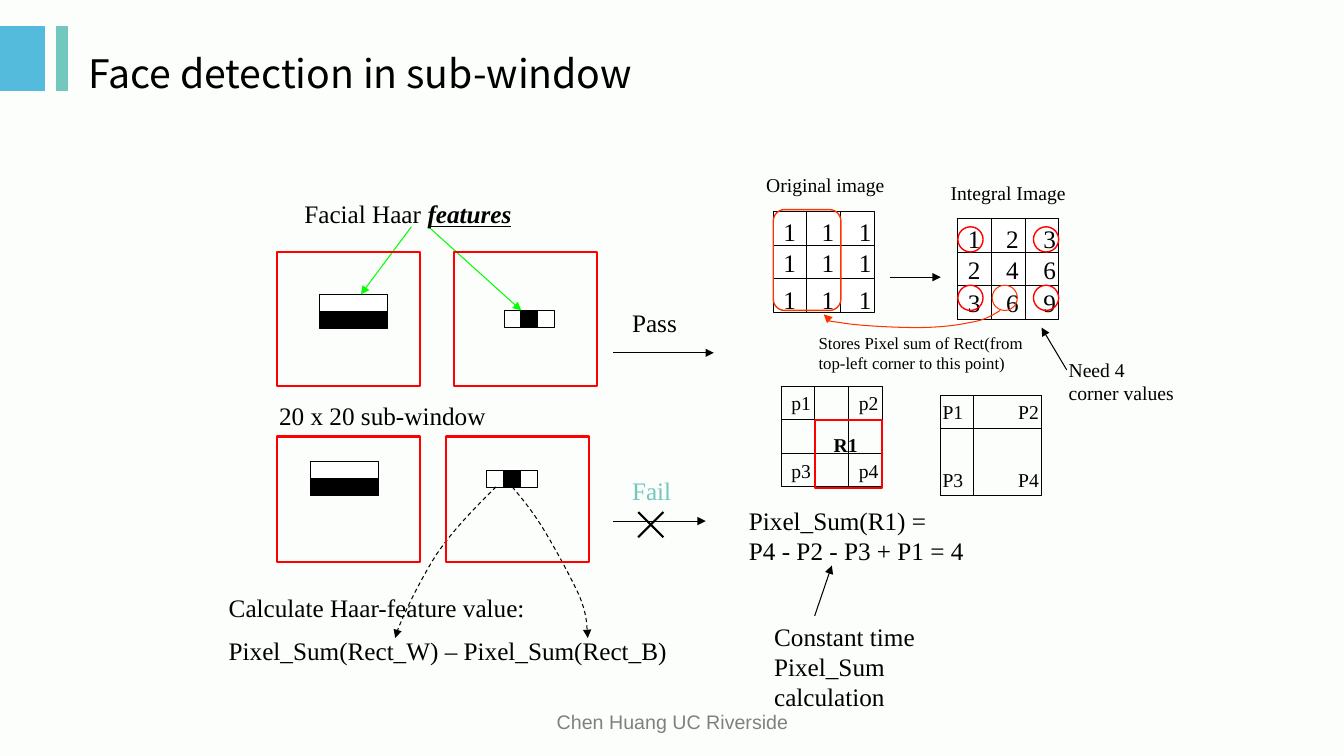
from pptx import Presentation
from pptx.dml.color import RGBColor
from pptx.enum.dml import MSO_LINE
from pptx.enum.shapes import MSO_CONNECTOR, MSO_SHAPE
from pptx.enum.text import MSO_ANCHOR, PP_ALIGN
from pptx.oxml.ns import qn
from pptx.util import Inches, Pt
from lxml import etree

COLORS = {
    "background": "FCFEFC", "blue": "54BBDC", "teal": "73C8BE", "gray": "808080",
    "black": "000000", "white": "FFFFFF", "red": "FF0000", "orange": "FF3300",
    "green": "00FF00",
}
RGB = {name: RGBColor.from_string(value) for name, value in COLORS.items()}

presentation = Presentation()
presentation.slide_width = Inches(13.33)
presentation.slide_height = Inches(7.5)
slide = presentation.slides.add_slide(presentation.slide_layouts[6])
slide.background.fill.solid()
slide.background.fill.fore_color.rgb = RGB["background"]


def add_box(left, top, width, height, fill=None, line="black", weight=0.75,
            kind=MSO_SHAPE.RECTANGLE):
    shape = slide.shapes.add_shape(
        kind, Inches(left), Inches(top), Inches(width), Inches(height))
    shape.shadow.inherit = False
    if fill:
        shape.fill.solid()
        shape.fill.fore_color.rgb = RGB[fill]
    else:
        shape.fill.background()
    shape.line.color.rgb = RGB[line]
    shape.line.width = Pt(weight)
    return shape


def add_text(left, top, width, height, lines, size=18, color="black",
             space_before=0, tabs=(), **font_format):
    """Add a text box with one paragraph per line and return its text frame."""
    box = slide.shapes.add_textbox(
        Inches(left), Inches(top), Inches(width), Inches(height))
    frame = box.text_frame
    frame.word_wrap = True
    for index, line in enumerate(lines):
        paragraph = frame.add_paragraph() if index else frame.paragraphs[0]
        if index:
            paragraph.space_before = Pt(space_before)
        if tabs:
            properties = paragraph._p.get_or_add_pPr()
            tab_list = etree.SubElement(properties, qn("a:tabLst"))
            for position in tabs:
                etree.SubElement(tab_list, qn("a:tab"),
                                 pos=str(Inches(position)), algn="l")
        run = paragraph.add_run()
        run.text = line
        values = {"name": "Times New Roman", "size": Pt(size), **font_format}
        for attribute, value in values.items():
            setattr(run.font, attribute, value)
        run.font.color.rgb = RGB[color]
    return frame


# Title and footer
add_box(0, 0.26, 0.44, 0.64, "blue", "blue")
add_box(0.56, 0.26, 0.11, 0.64, "teal", "teal")
title = add_text(0.78, 0.26, 11.88, 0.92, ["Face detection in sub-window"], 28,
                 name="Noto Sans CJK SC")
title.vertical_anchor = MSO_ANCHOR.MIDDLE
footer = add_text(4.56, 6.99, 4.22, 0.35, ["Chen Huang UC Riverside"], 14, "gray",
                  name="Arial")
footer.paragraphs[0].alignment = PP_ALIGN.CENTER

# Haar features: two stacked bars and three cells in a row
for left, top in [(3.17, 2.92), (3.08, 4.58)]:
    for row, fill in enumerate(["white", "black"]):
        add_box(left, top + row / 6, 0.67, 0.17, fill)
for left, top in [(5, 3.08), (4.83, 4.67)]:
    for column, fill in enumerate(["white", "black", "white"]):
        add_box(left + column / 6, top, 0.17, 0.17, fill)

# Pixel grids, one unit wide with three rows and columns
lines = []
for left, top, fill in [(7.67, 2.1, "white"), (9.5, 2.17, "white"), (7.75, 3.83, None)]:
    add_box(left, top, 1, 1, fill)
    for offset in (1 / 3, 2 / 3):
        lines.append((left, top + offset, left + 1, top + offset, "black", 0.75, False))
        lines.append((left + offset, top, left + offset, top + 1, "black", 0.75, False))

# Corner grid
for width, height in [(1, 1), (1, 0.33), (0.33, 1)]:
    add_box(9.33, 3.92, width, height)

# Grid lines, arrows and the cross on the fail arrow
lines += [
    (6.08, 3.5, 7.08, 3.5, "black", 0.75, True),
    (6.08, 5.17, 7, 5.17, "black", 0.75, True),
    (6.33, 5.08, 6.58, 5.33, "black", 1.5, False),
    (6.58, 5.08, 6.33, 5.33, "black", 1.5, False),
    (4.08, 2.25, 3.58, 2.92, "green", 0.75, True),
    (4.25, 2.25, 5.17, 3.08, "green", 0.75, True),
    (8.08, 6.11, 8.25, 5.61, "black", 0.75, True),
    (8.83, 2.75, 9.33, 2.75, "black", 0.75, True),
    (10.58, 3.67, 10.33, 3.25, "black", 0.75, True),
]
for x1, y1, x2, y2, color, weight, has_arrow in lines:
    connector = slide.shapes.add_connector(
        MSO_CONNECTOR.STRAIGHT, Inches(x1), Inches(y1), Inches(x2), Inches(y2))
    connector.line.color.rgb = RGB[color]
    connector.line.width = Pt(weight)
    if has_arrow:
        etree.SubElement(connector.line._get_or_add_ln(), qn("a:tailEnd"), type="triangle")
    etree.SubElement(connector._element.spPr, qn("a:effectLst"))

# Curved arrows: a start point, then three Bezier points per segment
curves = [
    ("black", MSO_LINE.DASH, [
        (4.92, 4.83), (4.71, 5.04), (4.5, 5.25), (4.33, 5.5),
        (4.17, 5.75), (3.93, 6.24), (3.92, 6.33)]),
    ("black", MSO_LINE.DASH, [
        (5.08, 4.83), (5.18, 4.95), (5.28, 5.07), (5.39, 5.25),
        (5.5, 5.43), (5.67, 5.74), (5.75, 5.92),
        (5.82, 6.1), (5.83, 6.32), (5.83, 6.33)]),
    ("orange", MSO_LINE.SOLID, [
        (9.92, 3.08), (9.84, 3.13), (9.76, 3.18), (9.62, 3.2),
        (9.48, 3.23), (9.3, 3.25), (9.09, 3.25),
        (8.87, 3.25), (8.48, 3.23), (8.33, 3.2),
        (8.17, 3.18), (8.2, 3.13), (8.17, 3.12)]),
]
for color, dash, points in curves:
    start, *rest = [(Inches(x), Inches(y)) for x, y in points]
    builder = slide.shapes.build_freeform(*start)
    builder.add_line_segments(rest, close=False)
    curve = builder.convert_to_shape()
    segments = list(curve._element.iter(qn("a:lnTo")))
    for index in range(0, len(segments), 3):
        first, *others = segments[index:index + 3]
        bezier = etree.Element(qn("a:cubicBezTo"))
        first.addprevious(bezier)
        for segment in (first, *others):
            bezier.append(segment[0])
            segment.getparent().remove(segment)
    curve.shadow.inherit = False
    curve.fill.background()
    curve.line.color.rgb = RGB[color]
    curve.line.width = Pt(0.75)
    curve.line.dash_style = dash
    etree.SubElement(curve.line._get_or_add_ln(), qn("a:tailEnd"), type="triangle")

# Grid values and corner labels
number_rows = [
    (7.67, [(2.1, "1\t1\t1"), (2.4, "1\t1\t1"), (2.77, "1\t1\t1")]),
    (9.5, [(2.17, "1\t2\t3"), (2.47, "2\t4\t6"), (2.8, "3\t6\t9")]),
]
for left, rows in number_rows:
    for top, numbers in rows:
        add_text(left, top, 1.25, 0.4, [numbers], tabs=(0.38, 0.75))
for letter, left, top, step in [("p", 7.75, 3.83, 0.67), ("P", 9.25, 3.92, 0.75)]:
    for index in range(4):
        row, column = divmod(index, 2)
        add_text(left + column * step, top + row * 0.67, 0.67, 0.33,
                 [f"{letter}{index + 1}"], 14)
add_text(8.17, 4.25, 0.67, 0.33, ["R1"], 14, bold=True)

# Captions
features = add_text(2.92, 1.92, 2.92, 0.4, ["Facial Haar "])
emphasis = features.paragraphs[0].add_run()
emphasis.text = "features"
emphasis_format = {"name": "Times New Roman", "size": Pt(18), "bold": True,
                   "italic": True, "underline": True}
for attribute, value in emphasis_format.items():
    setattr(emphasis.font, attribute, value)
emphasis.font.color.rgb = RGB["black"]
add_text(6.17, 3, 0.92, 0.4, ["Pass"])
add_text(6.17, 4.67, 1.08, 0.4, ["Fail"], color="teal")
add_text(2.67, 3.92, 2.92, 0.4, ["20 x 20 sub-window"])
add_text(2.17, 5.83, 4.92, 0.86, ["Calculate Haar-feature value:",
                                  "Pixel_Sum(Rect_W) – Pixel_Sum(Rect_B)"], space_before=9)
add_text(7.58, 6.11, 2.33, 1.01, ["Constant time Pixel_Sum calculation"])
add_text(7.33, 4.96, 2.83, 1.16, ["Pixel_Sum(R1) =", "P4 - P2 - P3 + P1 = 4"])
add_text(7.5, 1.67, 1.58, 0.33, ["Original image"], 14)
add_text(9.33, 1.75, 1.42, 0.33, ["Integral Image"], 14)
add_text(10.5, 3.5, 1.25, 0.57, ["Need 4 corner values"], 14)
add_text(8.02, 3.25, 2.25, 0.5,
         ["Stores Pixel sum of Rect(from top-left corner to this point)"], 12)

# Highlights and sub-windows
add_box(8.08, 4.17, 0.67, 0.67, line="red", weight=1.5)
for left in (9.5, 10.25):
    for top in (2.25, 2.83):
        add_box(left, top, 0.25, 0.25, line="red", weight=1, kind=MSO_SHAPE.OVAL)
add_box(9.84, 2.83, 0.25, 0.25, line="orange", kind=MSO_SHAPE.OVAL)
add_box(7.67, 2.08, 0.67, 1, line="orange", weight=1, kind=MSO_SHAPE.ROUNDED_RECTANGLE)
for left, top, height in [(2.75, 2.5, 1.33), (4.5, 2.5, 1.33),
                          (2.75, 4.33, 1.25), (4.42, 4.33, 1.25)]:
    add_box(left, top, 1.42, height, line="red", weight=1.5)

presentation.save("out.pptx")
